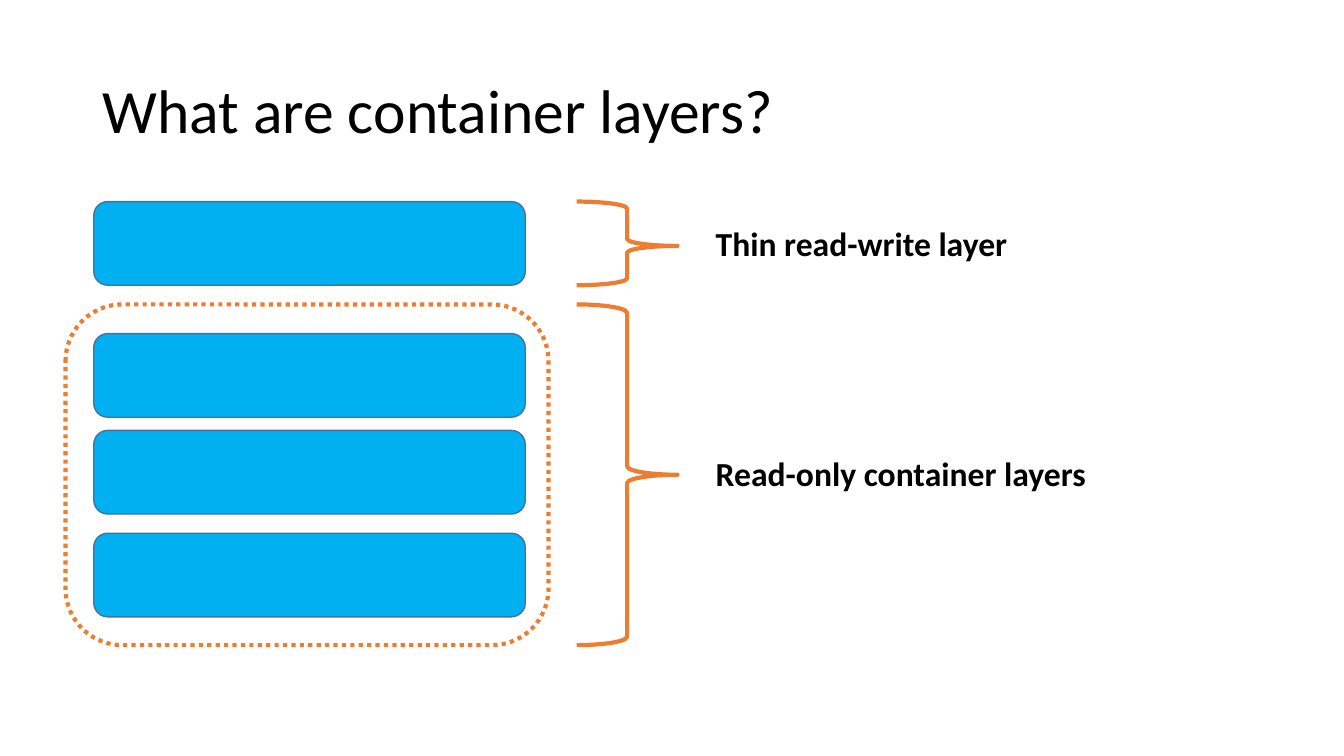
from dataclasses import dataclass

from pptx import Presentation
from pptx.dml.color import RGBColor
from pptx.enum.dml import MSO_LINE
from pptx.enum.shapes import MSO_SHAPE
from pptx.enum.text import MSO_ANCHOR
from pptx.util import Inches, Pt


@dataclass(frozen=True)
class Theme:
    font: str = "Calibri"
    text: RGBColor = RGBColor(0x00, 0x00, 0x00)
    layer: RGBColor = RGBColor(0x00, 0xB0, 0xF0)
    layer_edge: RGBColor = RGBColor(0x43, 0x73, 0x9E)
    accent: RGBColor = RGBColor(0xED, 0x7D, 0x31)
    title_size: int = 44
    label_size: int = 24


theme = Theme()
deck = Presentation()
deck.slide_width, deck.slide_height = Inches(13.33), Inches(7.5)
page = deck.slides.add_slide(deck.slide_layouts[6])


def add_text(words, left, top, width, height, size, bold=False):
    box = page.shapes.add_textbox(Inches(left), Inches(top), Inches(width), Inches(height))
    box.text_frame.word_wrap = True
    box.text_frame.vertical_anchor = MSO_ANCHOR.MIDDLE
    para = box.text_frame.paragraphs[0]
    span = para.add_run()
    span.text = words
    span.font.name, span.font.size, span.font.bold = theme.font, Pt(size), bold
    span.font.color.rgb = theme.text
    return para


def add_outline(kind, left, top, width, height, color, weight):
    shape = page.shapes.add_shape(kind, Inches(left), Inches(top), Inches(width), Inches(height))
    shape.shadow.inherit = False
    shape.fill.background()
    shape.line.color.rgb = color
    shape.line.width = Pt(weight)
    return shape


# Title
title = add_text("What are container layers?", 0.92, 0.4, 11.5, 1.45, theme.title_size)
title.line_spacing = 0.9

# Dotted frame around the read-only layers
layer_height = 0.83
top_layer = 2
frame_top, frame_height = 3.02, 3.38
frame = add_outline(MSO_SHAPE.ROUNDED_RECTANGLE, 0.65, frame_top, 4.79, frame_height,
                    theme.accent, 3)
frame.line.dash_style = MSO_LINE.ROUND_DOT

# Layers, the writable one first
for top in (top_layer, 3.31, 4.27, 5.29):
    layer = add_outline(MSO_SHAPE.ROUNDED_RECTANGLE, 0.93, top, 4.28, layer_height,
                        theme.layer_edge, 1)
    layer.fill.solid()
    layer.fill.fore_color.rgb = theme.layer

# Braces, each with its label
groups = [
    ("Thin read-write layer", top_layer, layer_height, 0.53, 2.16),
    ("Read-only container layers", frame_top, frame_height, 0.5, 4.44),
]
for words, top, height, point, label_top in groups:
    brace = add_outline(MSO_SHAPE.RIGHT_BRACE, 5.72, top, 1, height, theme.accent, 3)
    brace.adjustments[1] = point
    add_text(words, 7, label_top, 3.98, 0.5, theme.label_size, bold=True)

deck.save("out.pptx")
